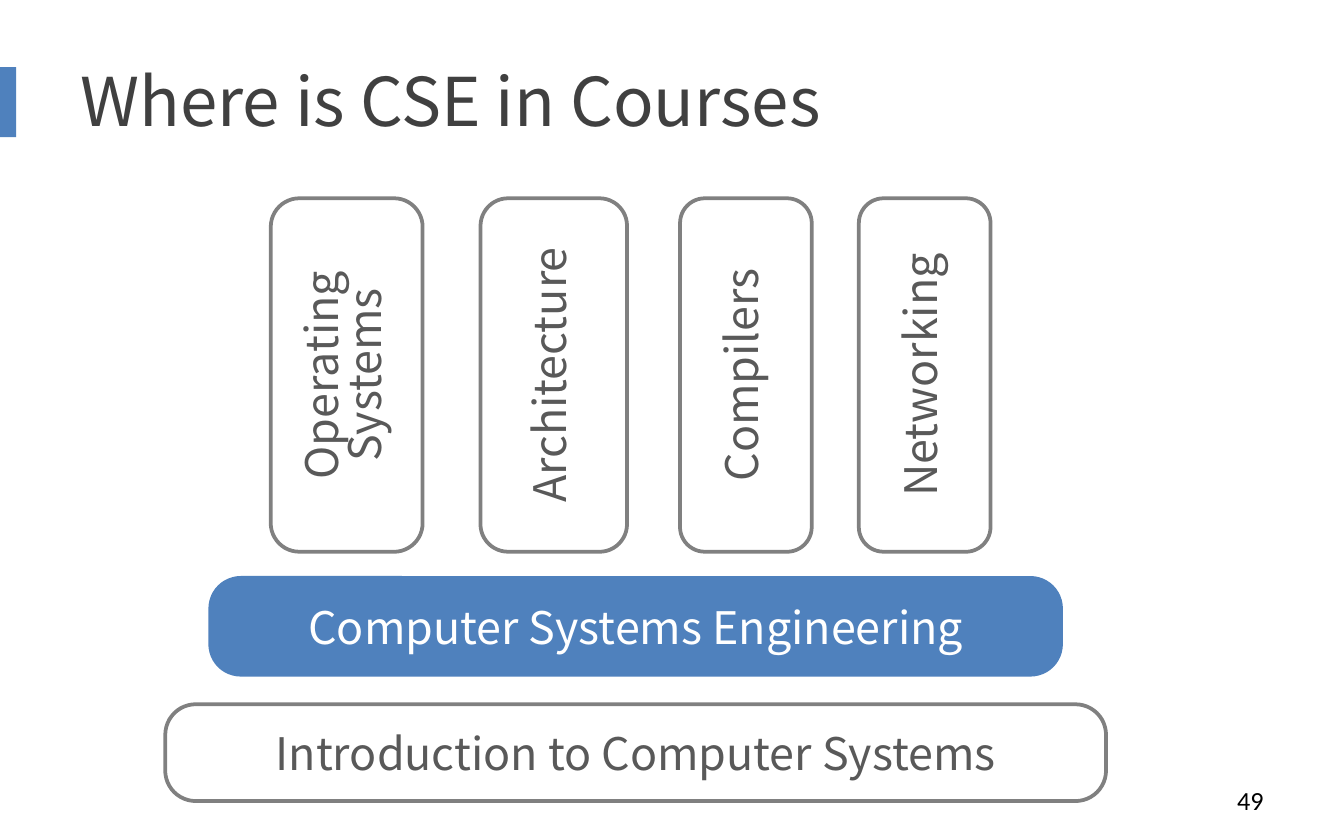
"""Build a slide that places Computer Systems Engineering among related courses."""
from pptx import Presentation
from pptx.dml.color import RGBColor
from pptx.enum.shapes import MSO_SHAPE
from pptx.enum.text import MSO_ANCHOR, PP_ALIGN
from pptx.util import Inches, Pt

RECT, ROUNDED = MSO_SHAPE.RECTANGLE, MSO_SHAPE.ROUNDED_RECTANGLE
MIDDLE = MSO_ANCHOR.MIDDLE
LEFT, CENTER, RIGHT = PP_ALIGN.LEFT, PP_ALIGN.CENTER, PP_ALIGN.RIGHT
FONT = "Noto Sans CJK SC"
COLORS = {"blue": "4F81BD", "title": "404040", "text": "595959",
          "gray": "808080", "white": "FFFFFF", "black": "000000"}


def set_text(shape, text, size, color, align, font=FONT):
    tf = shape.text_frame
    tf.word_wrap = True
    tf.vertical_anchor = MIDDLE
    p = tf.paragraphs[0]
    p.text = text
    p.alignment = align
    p.font.name = font
    p.font.size = Pt(size)
    p.font.color.rgb = RGBColor.from_string(COLORS[color])
    return p


def add_course(text, center_x, center_y, width, height, radius, fill, line, color):
    sp = s.shapes.add_shape(ROUNDED, Inches(center_x - width / 2), Inches(center_y - height / 2),
                            Inches(width), Inches(height))
    sp.shadow.inherit = False
    sp.adjustments[0] = radius
    sp.fill.solid()
    sp.fill.fore_color.rgb = RGBColor.from_string(COLORS[fill])
    sp.line.color.rgb = RGBColor.from_string(COLORS[line])
    sp.line.width = Pt(2)
    set_text(sp, text, 24, color, CENTER)
    return sp


prs = Presentation()
prs.slide_width, prs.slide_height = Inches(10), Inches(6.25)
s = prs.slides.add_slide(prs.slide_layouts[5])

bar = s.shapes.add_shape(RECT, Inches(-0.06), Inches(0.5), Inches(0.18), Inches(0.52))
bar.shadow.inherit = False
bar.fill.solid()
bar.fill.fore_color.rgb = RGBColor.from_string(COLORS["blue"])
bar.line.fill.background()

title = s.shapes.title
title.left, title.top, title.width, title.height = Inches(0.5), Inches(0.25), Inches(9), Inches(0.98)
set_text(title, "Where is CSE in Courses", 36, "title", LEFT)

number = s.shapes.add_textbox(Inches(7.17), Inches(5.79), Inches(2.33), Inches(0.33))
set_text(number, "49", 14, "black", RIGHT, "Calibri")

add_course("Introduction to Computer Systems", 4.73, 5.6, 7, 0.72, 0.316, "white", "gray", "text")

pillars = [("Operating Systems", 2.58, 1.13), ("Architecture", 4.12, 1.09),
           ("Compilers", 5.55, 0.98), ("Networking", 6.88, 0.98)]
for name, center_x, thickness in pillars:
    pillar = add_course(name, center_x, 2.79, 2.63, thickness, 0.188, "white", "gray", "text")
    pillar.rotation = 270
    pillar.text_frame.paragraphs[0].line_spacing = 0.8

add_course("Computer Systems Engineering", 4.73, 4.66, 6.33, 0.72, 0.316, "blue", "blue", "white")

prs.save("out.pptx")
